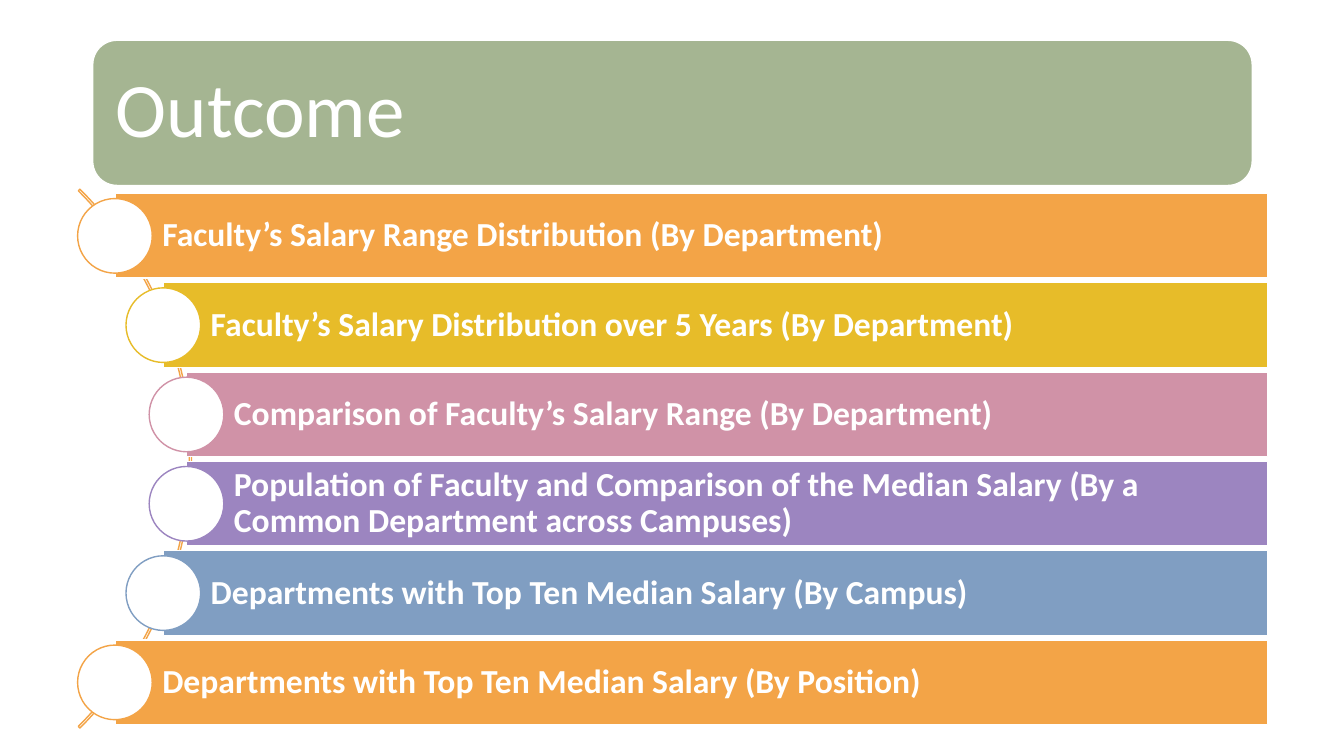
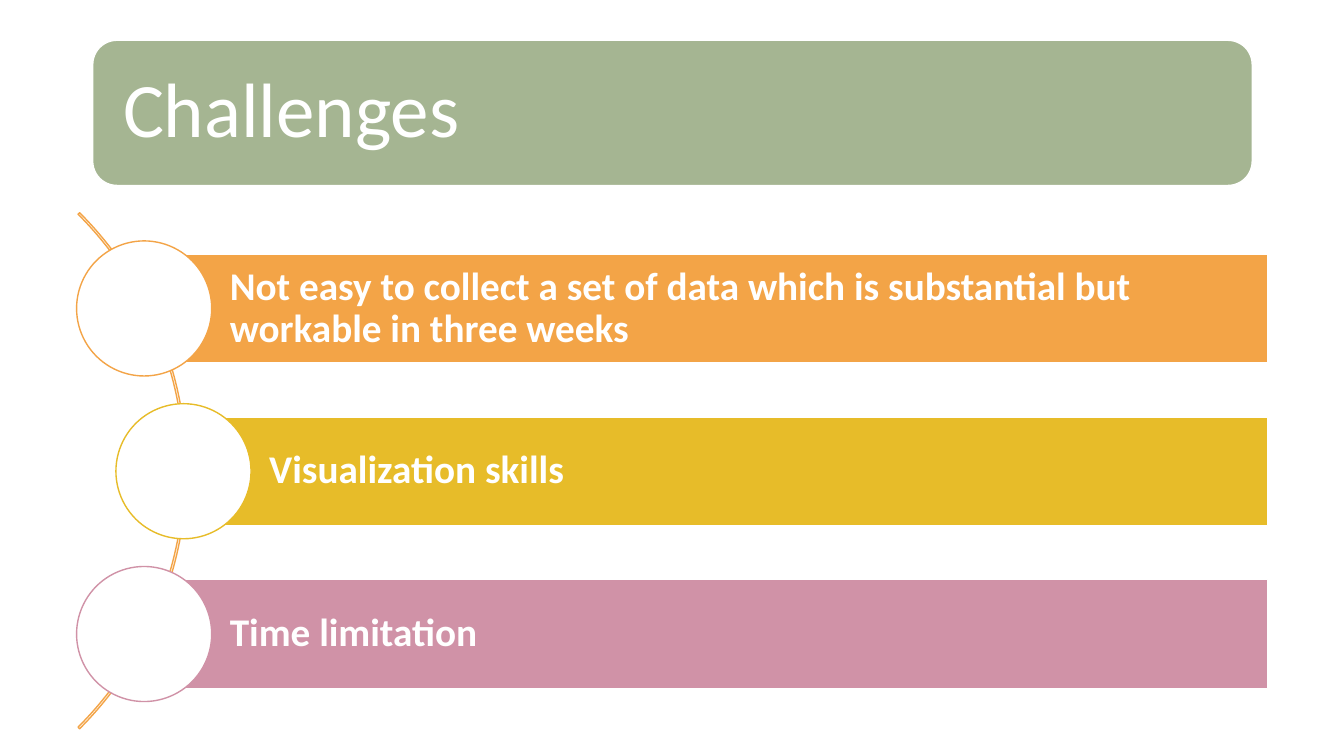
from itertools import cycle

from pptx import Presentation
from pptx import util as u
from pptx.dml.color import RGBColor
from pptx.enum import shapes, text

COLOURS = {
    "white": "FFFFFF",
    "green": "A5B592",
    "orange": "F3A447",
    "yellow": "E7BC29",
    "pink": "D092A7",
    "purple": "9C85C0",
    "blue": "809EC2",
}
ACCENTS = ("orange", "yellow", "pink", "purple", "blue")
BAR_RIGHT = 12.57


class Style:
    font = "Calibri"

    def __init__(self):
        self.deck = Presentation()
        self.deck.slide_width = u.Inches(13.33)
        self.deck.slide_height = u.Inches(7.5)
        self.page = None

    def colour(self, name):
        return RGBColor.from_string(COLOURS[name])

    def add_box(self, kind, left, top, width, height, fill, line):
        box = self.page.shapes.add_shape(
            kind, u.Inches(left), u.Inches(top), u.Inches(width), u.Inches(height)
        )
        box.shadow.inherit = False
        if fill:
            box.fill.solid()
            box.fill.fore_color.rgb = self.colour(fill)
        else:
            box.fill.background()
        box.line.color.rgb = self.colour(line)
        box.line.width = u.Pt(1)
        return box

    def set_words(self, box, words, size, bold, indent, inset):
        frame = box.text_frame
        frame.text = words
        frame.word_wrap = True
        frame.auto_size = text.MSO_AUTO_SIZE.NONE
        frame.vertical_anchor = text.MSO_ANCHOR.MIDDLE
        frame.margin_left = u.Inches(indent)
        frame.margin_top = frame.margin_right = frame.margin_bottom = u.Inches(inset)
        para = frame.paragraphs[0]
        para.alignment = text.PP_ALIGN.LEFT
        para.line_spacing = 0.9
        for span in para.runs:
            span.font.name = self.font
            span.font.size = u.Pt(size)
            span.font.bold = bold
            span.font.color.rgb = self.colour("white")

    def add_page(self, title, indent):
        self.page = self.deck.slides.add_slide(self.deck.slide_layouts[5])
        band = self.add_box(
            shapes.MSO_SHAPE.ROUNDED_RECTANGLE, 0.92, 0.4, 11.5, 1.44, "green", "white"
        )
        heading = self.page.shapes.title
        heading.left, heading.top = band.left, band.top
        heading.width, heading.height = band.width, band.height
        heading.element.addprevious(band.element)
        self.set_words(heading, title, 55, False, indent, 0.23)

    def add_arc(self, left, top, size):
        curve = self.add_box(
            shapes.MSO_SHAPE.BLOCK_ARC, left, top, size, size, None, "orange"
        )
        for index, value in enumerate((189, 27, 0.003)):
            curve.adjustments[index] = value

    def add_bars(self, items, lefts, first, last, height, circle, size, indent, inset):
        pitch = (last - first) / (len(items) - 1)
        for row, (words, left, accent) in enumerate(zip(items, lefts, cycle(ACCENTS))):
            top = first + row * pitch
            bar = self.add_box(
                shapes.MSO_SHAPE.RECTANGLE,
                left, top, BAR_RIGHT - left, height, accent, "white",
            )
            self.set_words(bar, words, size, True, indent, inset)
            self.add_box(
                shapes.MSO_SHAPE.OVAL,
                left - circle / 2, top + (height - circle) / 2,
                circle, circle, "white", accent,
            )


def main():
    style = Style()

    style.add_page("Outcome", indent=0.23)
    style.add_arc(-5.66, 0.77, 7.56)
    style.add_bars(
        [
            "Faculty’s Salary Range Distribution (By Department)",
            "Faculty’s Salary Distribution over 5 Years (By Department)",
            "Comparison of Faculty’s Salary Range (By Department)",
            "Population of Faculty and Comparison of the Median Salary "
            "(By a Common Department across Campuses)",
            "Departments with Top Ten Median Salary (By Campus)",
            "Departments with Top Ten Median Salary (By Position)",
        ],
        lefts=(1.14, 1.62, 1.85, 1.85, 1.62, 1.14),
        first=1.92, last=6.35, height=0.84, circle=0.74,
        size=24, indent=0.47, inset=0.07,
    )

    style.add_page("Challenges", indent=0.3)
    style.add_arc(-5.39, 1.05, 7.24)
    style.add_bars(
        [
            "Not easy to collect a set of data which is substantial "
            "but workable in three weeks",
            "Visualization skills",
            "Time limitation",
        ],
        lefts=(1.43, 1.82, 1.43),
        first=2.52, last=5.75, height=1.08, circle=1.34,
        size=28, indent=0.85, inset=0.08,
    )

    style.deck.save("out.pptx")


if __name__ == "__main__":
    main()
